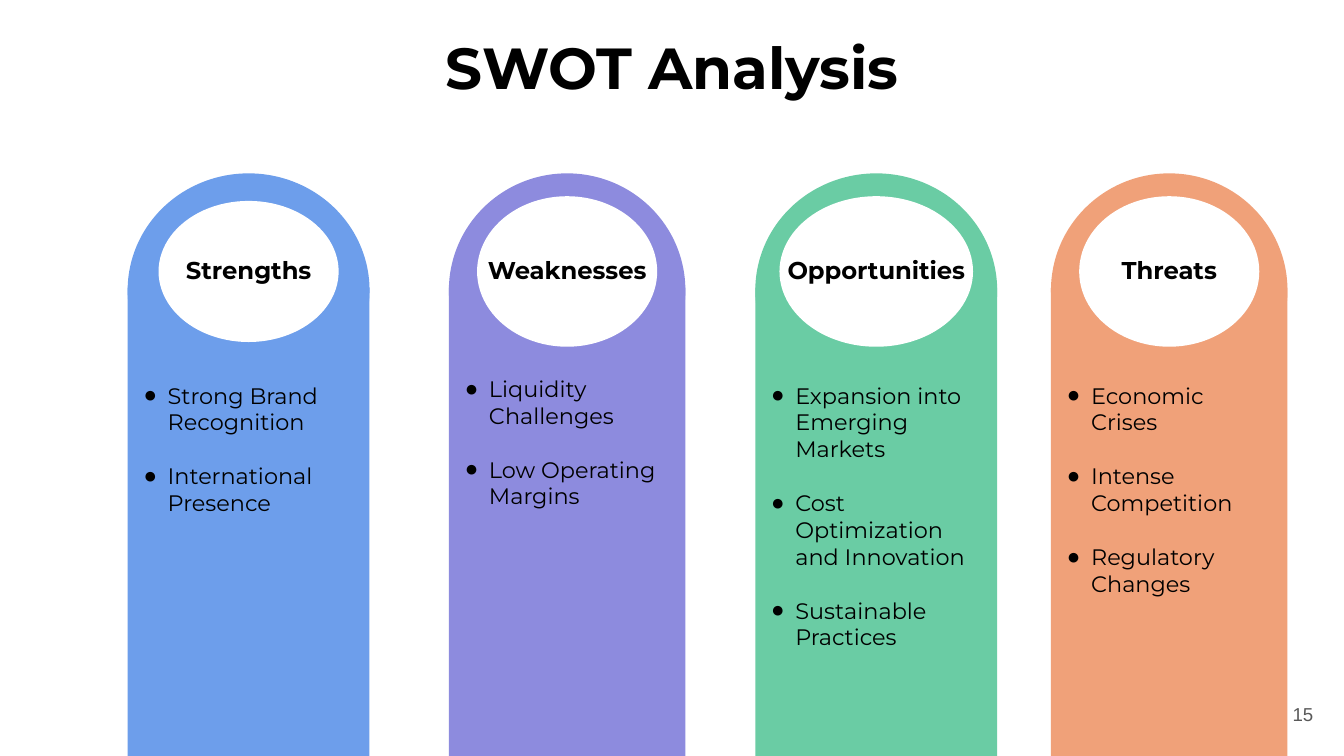
import pptx
import pptx.util
import pptx.dml.color
import pptx.enum.shapes
import pptx.enum.text
import pptx.oxml.ns
import lxml.etree

Inches = pptx.util.Inches
Pt = pptx.util.Pt
SHAPES = pptx.enum.shapes.MSO_SHAPE
ALIGN = pptx.enum.text.PP_ALIGN
ANCHOR = pptx.enum.text.MSO_ANCHOR

TITLE = "SWOT Analysis"
PAGE_NUMBER = "15"
COLORS = {
    "strengths": "6D9EEB",
    "weaknesses": "8D8BDE",
    "opportunities": "6ACCA4",
    "threats": "F0A179",
    "white": "FFFFFF",
    "black": "000000",
    "gray": "595959",
}
COLUMNS = [
    {"label": "Strengths", "left": 0.95, "width": 1.8, "oval": (1.34, 1.05), "inset": 0.7,
     "items": ["Strong Brand Recognition", "International Presence"]},
    {"label": "Weaknesses", "left": 3.34, "width": 1.76, "oval": (1.34, 1.12), "inset": 0.65,
     "items": ["Liquidity Challenges", "Low Operating Margins"]},
    {"label": "Opportunities", "left": 5.62, "width": 1.8, "oval": (1.44, 1.12), "inset": 0.7,
     "items": ["Expansion into Emerging Markets", "Cost Optimization and Innovation",
               "Sustainable Practices"]},
    {"label": "Threats", "left": 7.82, "width": 1.76, "oval": (1.34, 1.12), "inset": 0.7,
     "items": ["Economic Crises", "Intense Competition", "Regulatory Changes"]},
]
ARCH_TOP, ARCH_HEIGHT = 1.29, 1.74
PILLAR_TOP, PILLAR_HEIGHT = 2.14, 3.49
OVAL_CENTER = 2.02
LABEL_TOP, LABEL_HEIGHT = 1.8, 0.43


def rgb(name):
    return pptx.dml.color.RGBColor.from_string(COLORS[name])


def add_filled(slide, kind, box, color):
    shape = slide.shapes.add_shape(kind, *map(Inches, box))
    shape.shadow.inherit = False
    shape.fill.solid()
    shape.fill.fore_color.rgb = rgb(color)
    shape.line.fill.background()
    return shape


def prepare_frame(shape, anchor, top_inset=0.1):
    frame = shape.text_frame
    frame.word_wrap = True
    frame.auto_size = pptx.enum.text.MSO_AUTO_SIZE.NONE
    frame.vertical_anchor = anchor
    frame.margin_left = frame.margin_right = frame.margin_bottom = Inches(0.1)
    frame.margin_top = Inches(top_inset)
    return frame


def add_run(paragraph, text, size, bold=False, color="black", font="Montserrat"):
    run = paragraph.add_run()
    run.text = text
    run.font.name = font
    run.font.size = Pt(size)
    run.font.bold = bold
    run.font.color.rgb = rgb(color)


def add_label(slide, box, text, size, anchor, align, **style):
    text_box = slide.shapes.add_textbox(*map(Inches, box))
    paragraph = prepare_frame(text_box, anchor).paragraphs[0]
    paragraph.alignment = align
    add_run(paragraph, text, size, **style)


def add_bullet(paragraph):
    qn = pptx.oxml.ns.qn
    properties = paragraph._p.get_or_add_pPr()
    properties.set("marL", str(Inches(0.2)))
    properties.set("indent", str(Inches(-0.18)))
    bullet_color = lxml.etree.SubElement(properties, qn("a:buClr"))
    lxml.etree.SubElement(bullet_color, qn("a:srgbClr"), val=COLORS["black"])
    lxml.etree.SubElement(properties, qn("a:buFont"), typeface="Arial")
    lxml.etree.SubElement(properties, qn("a:buChar"), char="●")


def fill_list(shape, items, top_inset):
    frame = prepare_frame(shape, ANCHOR.TOP, top_inset)
    for index, item in enumerate(items):
        paragraph = frame.add_paragraph() if index else frame.paragraphs[0]
        paragraph.alignment = ALIGN.LEFT
        if index:
            paragraph.space_before = Pt(14.4)
        add_bullet(paragraph)
        add_run(paragraph, item, 12)


def add_column(slide, column):
    left, width = column["left"], column["width"]
    color = column["label"].lower()
    add_filled(slide, SHAPES.OVAL, (left, ARCH_TOP, width, ARCH_HEIGHT), color)
    pillar = add_filled(slide, SHAPES.RECTANGLE, (left, PILLAR_TOP, width, PILLAR_HEIGHT), color)
    fill_list(pillar, column["items"], column["inset"])
    oval_width, oval_height = column["oval"]
    oval_box = (left + (width - oval_width) / 2, OVAL_CENTER - oval_height / 2,
                oval_width, oval_height)
    add_filled(slide, SHAPES.OVAL, oval_box, "white")
    add_label(slide, (left, LABEL_TOP, width, LABEL_HEIGHT), column["label"], 13,
              ANCHOR.TOP, ALIGN.CENTER, bold=True)


def main():
    presentation = pptx.Presentation()
    presentation.slide_width = Inches(10)
    presentation.slide_height = presentation.slide_width * 9 // 16
    slide = presentation.slides.add_slide(presentation.slide_layouts[5])

    title = slide.shapes.title
    title.left, title.top, title.width, title.height = map(Inches, (0.46, 0, 9.08, 0.86))
    paragraph = prepare_frame(title, ANCHOR.BOTTOM).paragraphs[0]
    paragraph.alignment = ALIGN.CENTER
    paragraph.line_spacing = 0.9
    add_run(paragraph, TITLE, 31, bold=True)

    for column in COLUMNS:
        add_column(slide, column)

    add_label(slide, (9.27, 5.1, 0.6, 0.43), PAGE_NUMBER, 10, ANCHOR.MIDDLE, ALIGN.RIGHT,
              color="gray", font="Arial")
    presentation.save("out.pptx")


if __name__ == "__main__":
    main()
